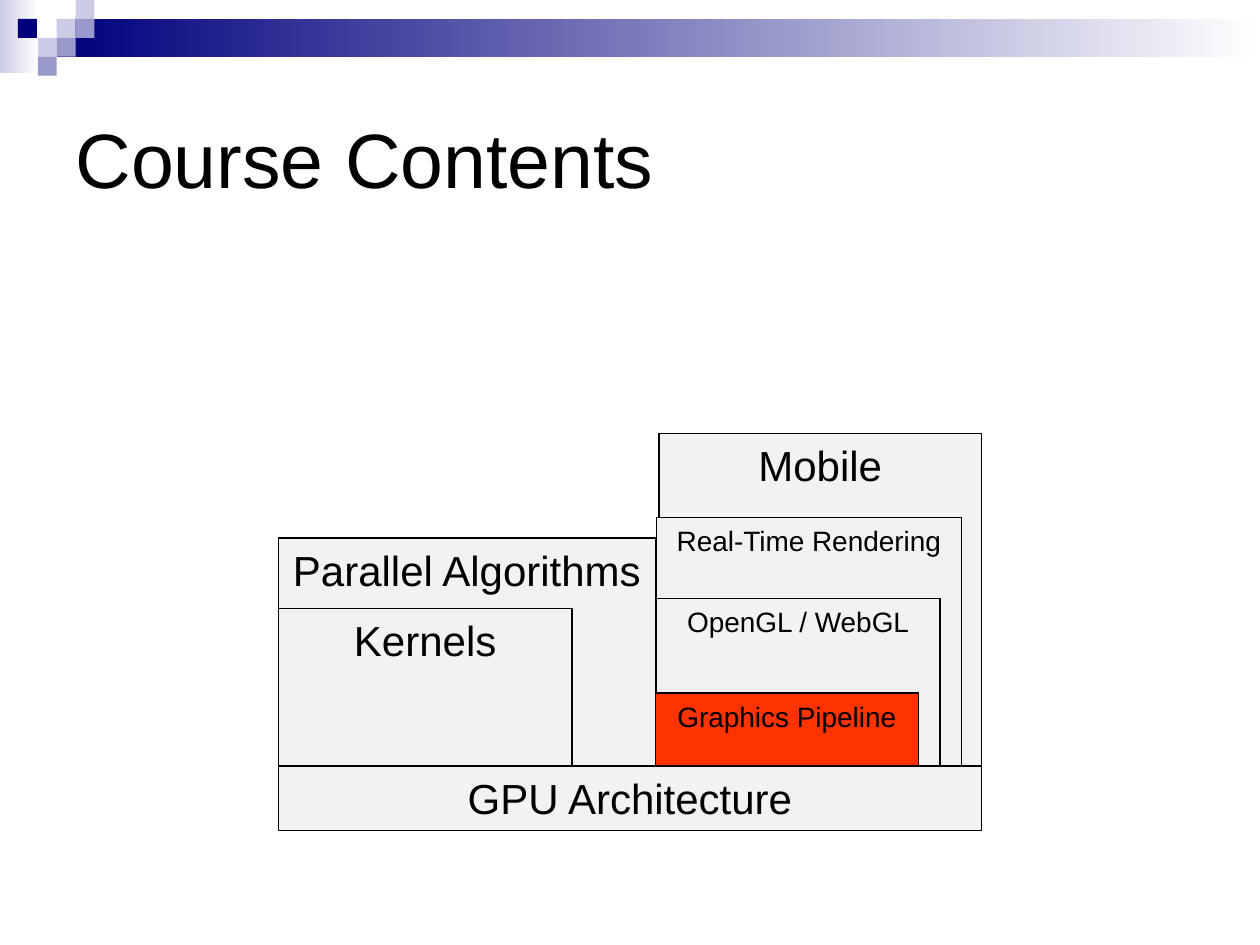
"""Build the Course Contents slide with its stack of course topics."""
from pptx import Presentation
from pptx.dml.color import RGBColor
from pptx.enum.shapes import MSO_SHAPE
from pptx.enum.text import MSO_ANCHOR, PP_ALIGN
from pptx.util import Inches, Pt

RECT = MSO_SHAPE.RECTANGLE
TOP, MIDDLE = MSO_ANCHOR.TOP, MSO_ANCHOR.MIDDLE
LEFT, CENTER = PP_ALIGN.LEFT, PP_ALIGN.CENTER

THEME = {
    "font": "Arial", "title": 44, "large": 24, "small": 16, "line": 0.75,
    "text": "000000", "box": "F2F2F2", "current": "FF3300", "white": "FFFFFF",
    "navy": "00007D", "mid": "9999CC", "pale": "CCCCE6",
}

TITLE = "Course Contents"
BANDS = [
    ((0, 0, 0.31, 0.58), "pale"),
    ((0.45, 0.15, 9.55, 0.3), "navy"),
]
TILE = 0.15
TILES = [
    (3, 1, "pale"), (4, 0, "pale"), (4, 1, "mid"), (2, 2, "pale"),
    (0.95, 1, "navy"), (3, 2, "mid"), (2, 3, "mid"),
]
BASE = 6.08
TOPICS = [
    ("Mobile", 5.23, 3.44, 2.56, "large", "box"),
    ("Real-Time Rendering", 5.21, 4.11, 2.42, "small", "box"),
    ("OpenGL / WebGL", 5.21, 4.75, 2.25, "small", "box"),
    ("Graphics Pipeline", 5.2, 5.5, 2.09, "small", "current"),
    ("Parallel Algorithms", 2.21, 4.27, 2.99, "large", "box"),
    ("Kernels", 2.21, 4.83, 2.33, "large", "box"),
]
FOUNDATION = ("GPU Architecture", 2.21, BASE, 5.58, "large", "box")
FOUNDATION_HEIGHT = 0.51


def color(name):
    return RGBColor.from_string(THEME[name])


def add_rect(s, x, y, w, h):
    sp = s.shapes.add_shape(RECT, Inches(x), Inches(y), Inches(w), Inches(h))
    sp.shadow.inherit = False
    sp.line.fill.background()
    return sp


def set_text(tf, text, size, align, anchor):
    tf.text = text
    tf.vertical_anchor = anchor
    p = tf.paragraphs[0]
    p.alignment = align
    font = p.runs[0].font
    font.name, font.size = THEME["font"], Pt(THEME[size])
    font.color.rgb = color("text")


def add_band(s, bounds, start):
    fill = add_rect(s, *bounds).fill
    fill.gradient()
    fill.gradient_angle = 0
    for stop, name, position in zip(fill.gradient_stops, (start, "white"), (0, 1)):
        stop.color.rgb = color(name)
        stop.position = position


def add_tile(s, column, row, name):
    sp = add_rect(s, column * TILE, row * TILE, TILE, TILE)
    sp.fill.solid()
    sp.fill.fore_color.rgb = color(name)


def add_topic(s, text, x, y, w, size, fill, h):
    sp = add_rect(s, x, y, w, h)
    sp.fill.solid()
    sp.fill.fore_color.rgb = color(fill)
    sp.line.color.rgb = color("text")
    sp.line.width = Pt(THEME["line"])
    set_text(sp.text_frame, text, size, CENTER, TOP)
    sp.text_frame.word_wrap = False


def main():
    prs = Presentation()
    prs.slide_width, prs.slide_height = Inches(10), Inches(7.5)
    s = prs.slides.add_slide(prs.slide_layouts[5])

    for bounds, start in BANDS:
        add_band(s, bounds, start)
    for tile in TILES:
        add_tile(s, *tile)

    title = s.shapes.title
    title.left, title.top = Inches(0.5), Inches(0.5)
    title.width, title.height = Inches(9), Inches(1.5)
    set_text(title.text_frame, TITLE, "title", LEFT, MIDDLE)

    for topic in TOPICS:
        add_topic(s, *topic, h=BASE - topic[2])
    add_topic(s, *FOUNDATION, h=FOUNDATION_HEIGHT)
    prs.save("out.pptx")


if __name__ == "__main__":
    main()
